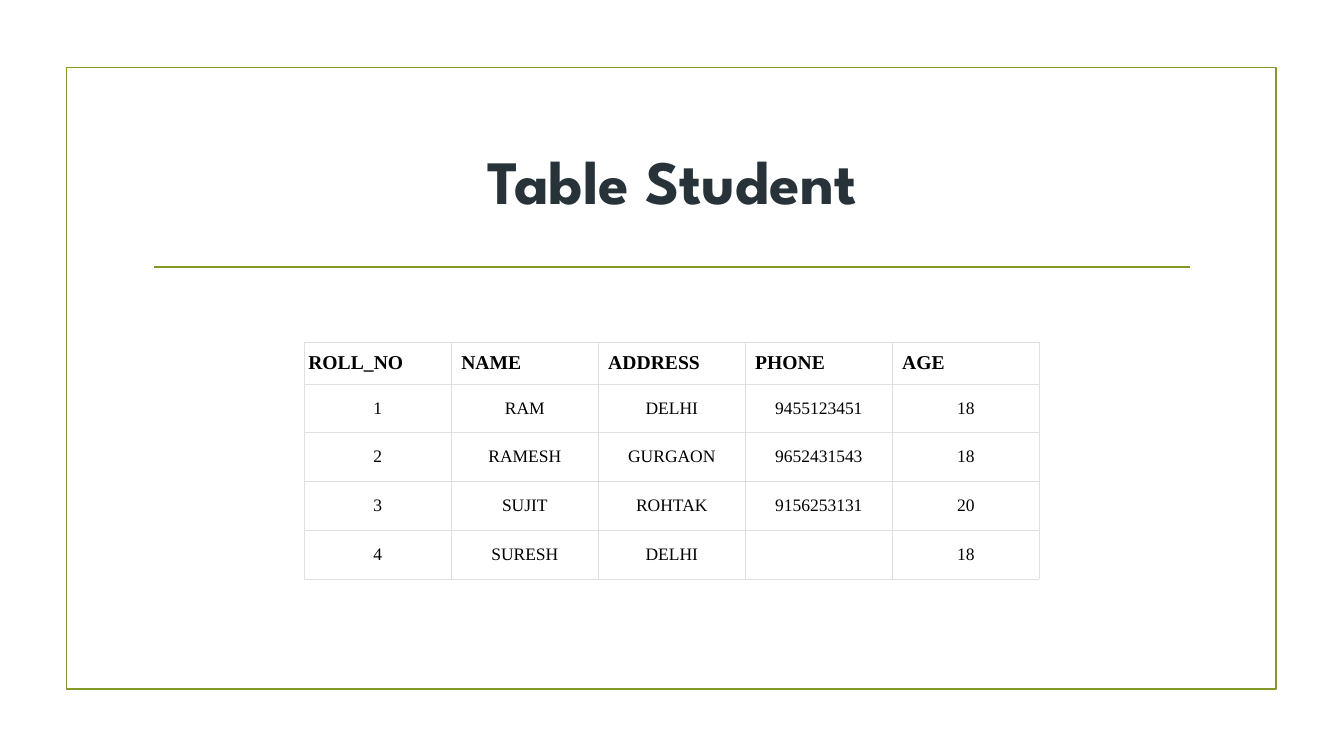
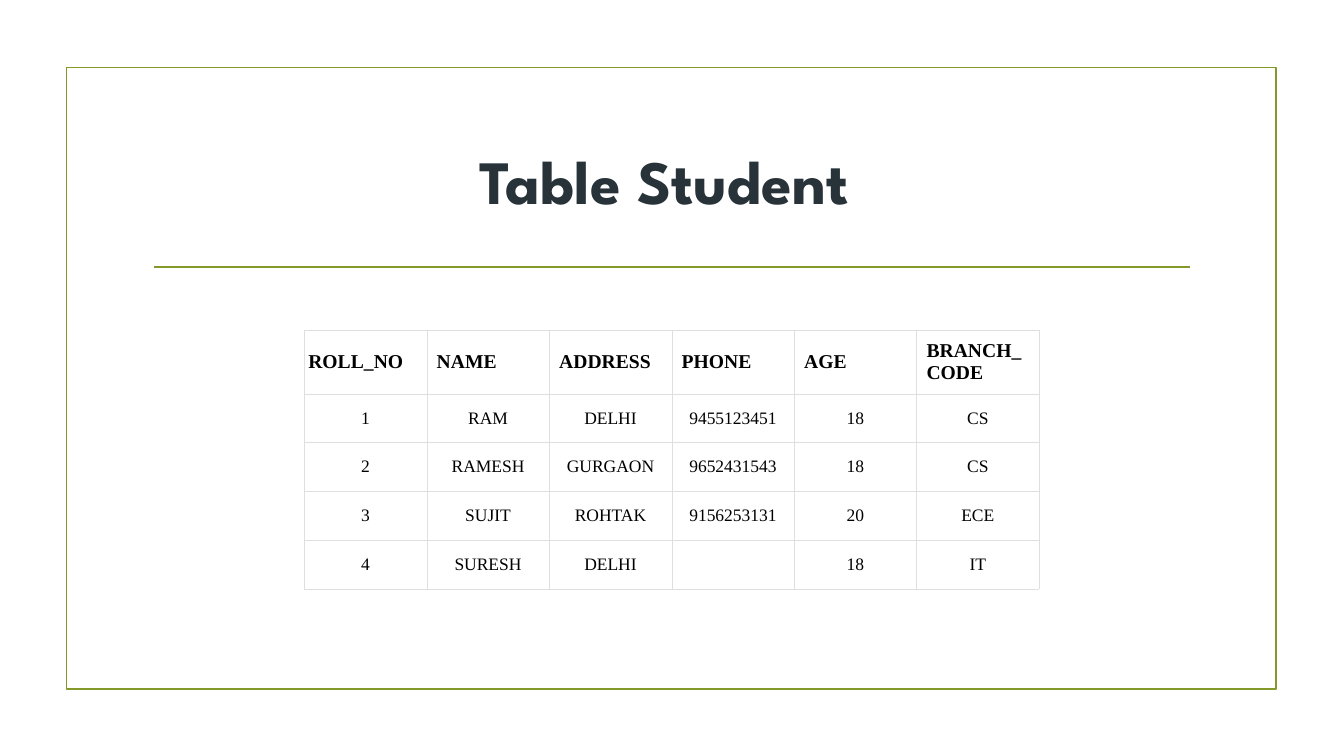
from lxml import etree
from pptx import Presentation
from pptx.dml.color import RGBColor
from pptx.enum.shapes import MSO_CONNECTOR, MSO_SHAPE
from pptx.enum.text import MSO_ANCHOR, MSO_AUTO_SIZE, PP_ALIGN
from pptx.oxml import parse_xml
from pptx.oxml.ns import nsdecls, qn
from pptx.util import Cm, Pt

COLORS = {
    "accent": "83992A",
    "title": "273239",
    "text": "000000",
    "cell": "FFFFFF",
    "grid": "DFDFDF",
}
TITLE_FONT = "League Spartan"
TABLE_FONT = "Times New Roman"
TABLE_LEFT, TABLE_WIDTH = Cm(7.67), Cm(18.52)
BODY_HEIGHT = Cm(1.23)

# Table contents
student_rows = [
    ["ROLL_NO", "NAME", "ADDRESS", "PHONE", "AGE"],
    ["1", "RAM", "DELHI", "9455123451", "18"],
    ["2", "RAMESH", "GURGAON", "9652431543", "18"],
    ["3", "SUJIT", "ROHTAK", "9156253131", "20"],
    ["4", "SURESH", "DELHI", "", "18"],
]
branch_codes = ["BRANCH_CODE", "CS", "CS", "ECE", "IT"]
branch_rows = [row + [code] for row, code in zip(student_rows, branch_codes)]

# Title, rows, table top and header height of each slide
slides = [
    ("Table Student", student_rows, Cm(8.61), Cm(1.06)),
    ("Table Student ", branch_rows, Cm(8.31), Cm(1.61)),
]


def style_text(paragraph, font_name, size, color, bold):
    for run in paragraph.runs:
        run.font.name = font_name
        run.font.size = Pt(size)
        run.font.bold = bold
        run.font.color.rgb = RGBColor.from_string(COLORS[color])


def add_borders(cell):
    properties = cell._tc.get_or_add_tcPr()
    for position, side in enumerate(("lnL", "lnR", "lnT", "lnB")):
        properties.insert(position, parse_xml(
            f'<a:{side} {nsdecls("a")} w="{Pt(0.23)}"><a:solidFill>'
            f'<a:srgbClr val="{COLORS["grid"]}"/></a:solidFill></a:{side}>'))


presentation = Presentation()
presentation.slide_width = Cm(33.87)
presentation.slide_height = Cm(19.05)

for title_text, rows, table_top, header_height in slides:
    slide = presentation.slides.add_slide(presentation.slide_layouts[5])

    # Frame and rule
    frame = slide.shapes.add_shape(
        MSO_SHAPE.RECTANGLE, Cm(1.68), Cm(1.7), Cm(30.48), Cm(15.67))
    frame.shadow.inherit = False
    frame.fill.background()
    rule = slide.shapes.add_connector(
        MSO_CONNECTOR.STRAIGHT, Cm(3.89), Cm(6.73), Cm(30), Cm(6.73))
    etree.SubElement(rule._element.spPr, qn("a:effectLst"))
    for shape in (frame, rule):
        shape.line.color.rgb = RGBColor.from_string(COLORS["accent"])
        shape.line.width = Pt(1.25)

    # Title
    title = slide.shapes.title
    title.left, title.top = Cm(3.61), Cm(2.72)
    title.width, title.height = Cm(26.67), Cm(3.63)
    title.text_frame.text = title_text
    title.text_frame.auto_size = MSO_AUTO_SIZE.NONE
    title.text_frame.vertical_anchor = MSO_ANCHOR.MIDDLE
    paragraph = title.text_frame.paragraphs[0]
    paragraph.alignment = PP_ALIGN.CENTER
    style_text(paragraph, TITLE_FONT, 44, "title", True)

    # Table
    table_height = header_height + BODY_HEIGHT * (len(rows) - 1)
    table = slide.shapes.add_table(
        len(rows), len(rows[0]), TABLE_LEFT, table_top,
        TABLE_WIDTH, table_height).table
    table.horz_banding = False
    for row_index, values in enumerate(rows):
        is_header = row_index == 0
        table.rows[row_index].height = header_height if is_header else BODY_HEIGHT
        for column_index, value in enumerate(values):
            cell = table.cell(row_index, column_index)
            cell.fill.solid()
            cell.fill.fore_color.rgb = RGBColor.from_string(COLORS["cell"])
            add_borders(cell)
            if not value:
                continue
            is_corner = is_header and column_index == 0
            cell.margin_left = cell.margin_right = Cm(0.1 if is_corner else 0.25)
            cell.margin_top = cell.margin_bottom = Cm(0.25 if is_header else 0.37)
            cell.vertical_anchor = MSO_ANCHOR.MIDDLE
            paragraph = cell.text_frame.paragraphs[0]
            paragraph.text = value
            paragraph.alignment = PP_ALIGN.LEFT if is_header else PP_ALIGN.CENTER
            style_text(paragraph, TABLE_FONT, 14 if is_header else 12.5,
                       "text", is_header)

presentation.save("out.pptx")
